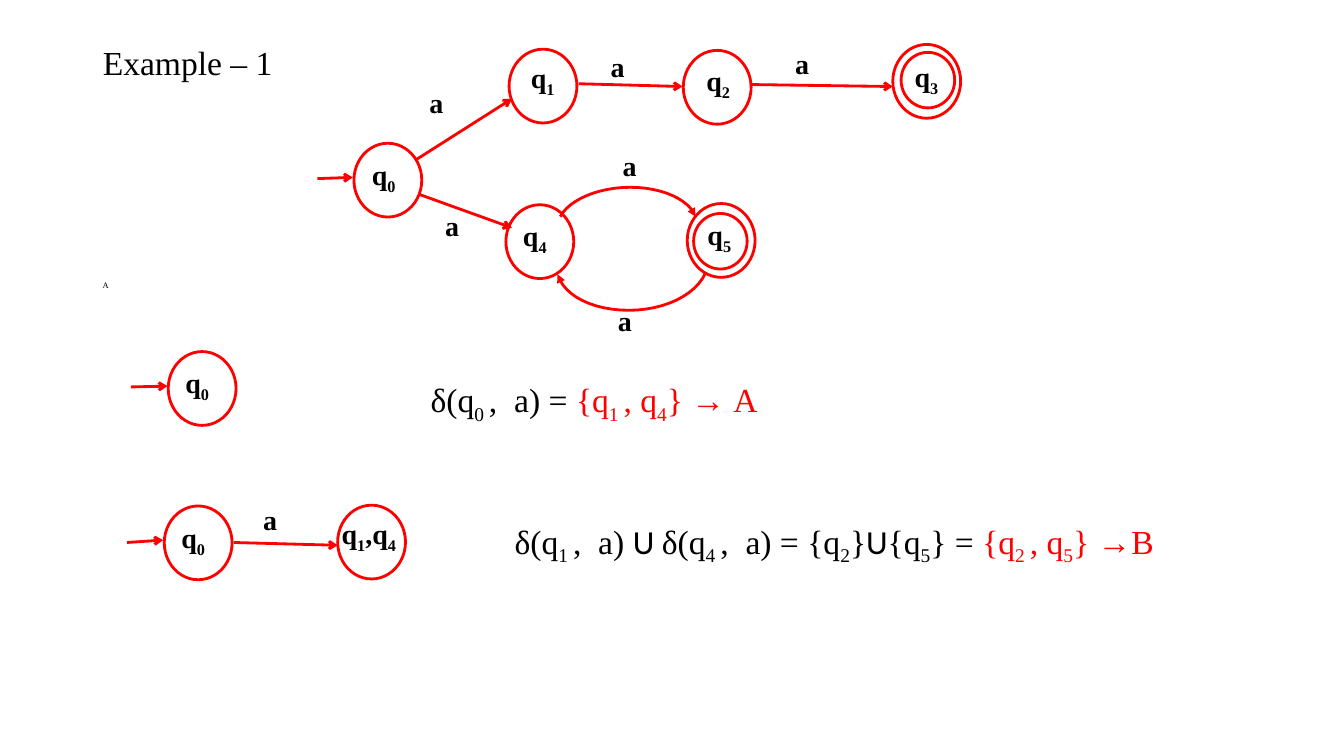
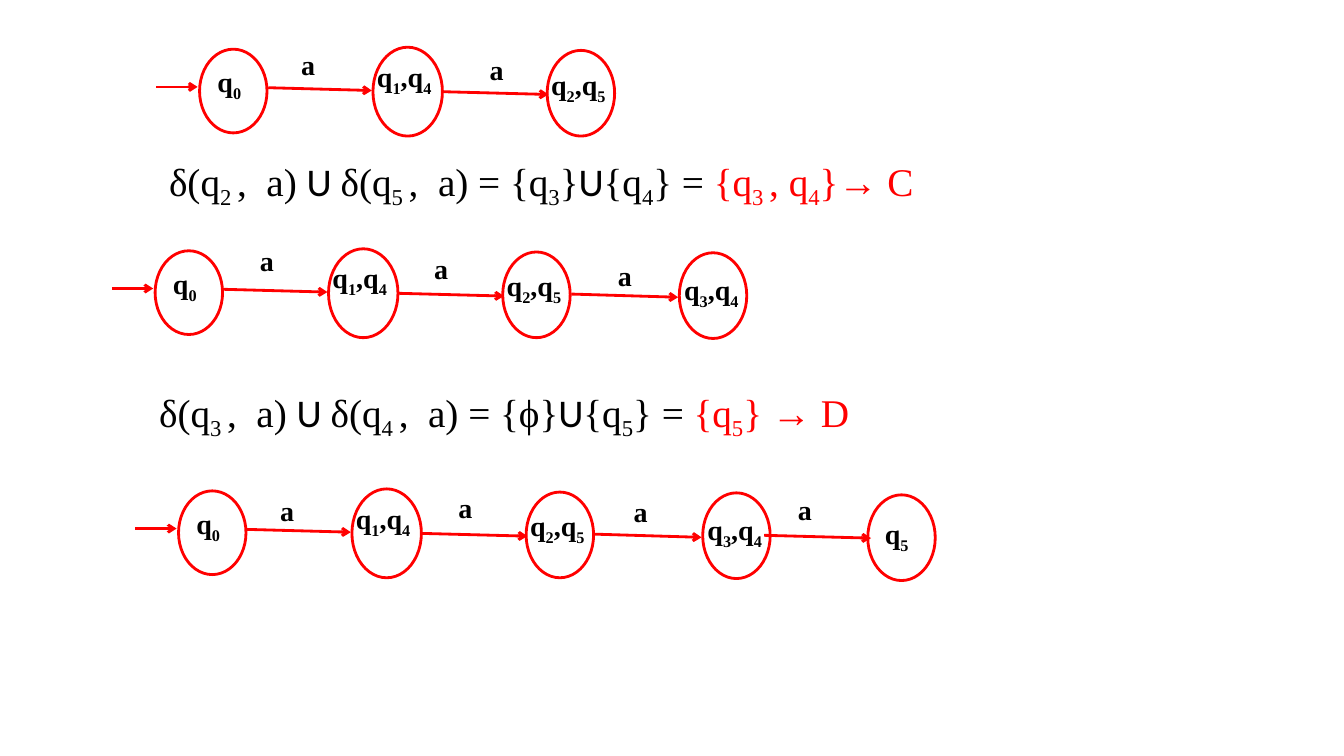
"""Build two slides that turn an NFA over {a} into a chain of subset states."""
from lxml import etree
from pptx import Presentation
from pptx import util as u
from pptx.dml.color import RGBColor
from pptx.enum import shapes, text
from pptx.oxml.ns import qn

RED = RGBColor(0xFF, 0x00, 0x00)
BLACK = RGBColor(0x00, 0x00, 0x00)
SERIF, SANS = "Times New Roman", "Calibri"
LINE_WIDTH = u.Pt(2)
RING_SIZE = (1.35, 1.4)

# Marked text: pieces are split at "|", and a piece starting with "_" is a subscript.
NFA = {
    "title": "Example – 1",
    "formulas": {
        "box": (10.85, 9.65, 19.5, 5), "size": 24, "line": 30, "gap": 71,
        "items": [
            (0, "δ(q|_0 |,  a) = ", "{q|_1 |, q|_4|} → A"),
            (2.12, "δ(q|_1 |,  a) |U |δ(q|_4 |,  a) = {q|_2|}|U|{q|_5|} = ",
             "{q|_2 |, q|_5|} →B"),
        ],
    },
    "states": [
        ("q|_0", (8.92, 3.61), (0.2, 0.23)),
        ("q|_1", (12.83, 1.24), (0.3, 0.16)),
        ("q|_2", (17.22, 1.27), (0.33, 0.2)),
        ("q|_3", (22.5, 1.12), (0.3, 0.25)),
        ("q|_4", (12.75, 5.16), (0.18, 0.22)),
        ("q|_5", (17.32, 5.13), (0.26, 0.23)),
        ("q|_0", (4.24, 8.86), (0.18, 0.23)),
        ("q|_0", (4.14, 12.75), (0.18, 0.23)),
        ("q|_1|,q|_4", (8.51, 12.73), (-0.15, 0.15)),
    ],
    "state_size": (1.71, 1.86),
    "final_rings": [(22.71, 1.32), (17.48, 5.38)],
    "arrows": [
        (8, 4.5, 8.89, 4.47), (10.46, 4.04, 12.9, 2.49),
        (10.57, 4.9, 12.9, 5.74), (14.58, 2.11, 17.2, 2.18),
        (18.9, 2.13, 22.5, 2.18), (3.3, 9.75, 4.22, 9.73),
        (3.2, 13.67, 4.11, 13.61), (5.89, 13.67, 8.51, 13.74),
    ],
    "loops": [
        [(14.12, 5.46), (14.35, 5.03), (15.09, 4.72), (15.88, 4.72),
         (16.69, 4.72), (17.37, 5.03), (17.53, 5.46)],
        [(17.78, 6.88), (17.53, 7.44), (16.74, 7.82), (15.85, 7.82),
         (14.96, 7.82), (14.22, 7.47), (14.05, 6.91)],
    ],
    "inputs": [(10.57, 2.03), (10.97, 5.13), (15.32, 7.52), (15.44, 3.63),
               (6.38, 12.55), (15.14, 1.12), (19.79, 1.04)],
    "small_mark": ("A", 2.34, 6.93),
}

SUBSETS = {
    "formulas": {
        "box": (4.26, 4.03, 26, 9), "size": 28, "line": 36, "gap": 129,
        "items": [
            (0, "δ(q|_2 |,  a) |U |δ(q|_5 |,  a) = {q|_3|}|U|{q|_4|} = ",
             "{q|_3 |, q|_4|}→ C"),
            (-0.25, "δ(q|_3 |,  a) |U |δ(q|_4 |,  a) = {ϕ}|U|{q|_5|} = ",
             "{q|_5|} → D"),
        ],
    },
    "inputs": [(7.34, 1.07), (12.09, 1.19),
               (6.3, 6.02), (10.69, 6.22), (15.32, 6.38),
               (6.81, 12.32), (11.3, 12.24), (15.72, 12.34), (19.86, 12.29)],
}

CHAIN_STAGES = [
    ("q|_0", (0, 0), (1.7, 2.11), (0.2, 0.26), (-1.09, 0.95, -0.05, 0.95)),
    ("q|_1|,q|_4", (4.37, -0.05), (1.75, 2.24), (-0.15, 0.18), (1.73, 0.97, 4.34, 1.04)),
    ("q|_2|,q|_5", (8.76, 0.03), (1.7, 2.16), (-0.15, 0.3), (6.1, 1.07, 8.79, 1.14)),
    ("q|_3|,q|_4", (13.21, 0.05), (1.7, 2.16), (-0.13, 0.38), (10.49, 1.09, 13.18, 1.17)),
    ("q|_5", (17.37, 0.1), (1.7, 2.16), (0.18, 0.41), (14.76, 1.12, 17.45, 1.19)),
]
CHAINS = [(3, 5.03, 1.24), (4, 3.91, 6.32), (5, 4.5, 12.37)]


def cm(values):
    return [u.Cm(value) for value in values]


def add_marked(paragraph, marked, color=None):
    for piece in marked.split("|"):
        run = paragraph.add_run()
        run.text = piece.removeprefix("_")
        if piece.startswith("_"):
            run._r.get_or_add_rPr().set("baseline", "-25000")
        if piece.strip() == "U":
            run.font.name = SANS
        if color is not None:
            run.font.color.rgb = color


def style(paragraph, size, bold=False):
    paragraph.alignment = text.PP_ALIGN.LEFT
    font = paragraph.font
    font.name, font.size, font.bold = SERIF, u.Pt(size), bold
    font.color.rgb = BLACK


def add_label(slide, left, top, marked, size=20, bold=True):
    width, height = (0.94, 0.86) if "|" not in marked else (2.2, 1.4)
    frame = slide.shapes.add_textbox(*cm((left, top, width, height))).text_frame
    frame.word_wrap = True
    add_marked(frame.paragraphs[0], marked)
    style(frame.paragraphs[0], size, bold)


def draw_red(line, head=None):
    line.color.rgb = RED
    line.width = LINE_WIDTH
    if head:
        etree.SubElement(line._get_or_add_ln(), qn("a:tailEnd"), type=head)


def add_circle(slide, place, size):
    circle = slide.shapes.add_shape(shapes.MSO_SHAPE.OVAL, *cm((*place, *size)))
    circle.shadow.inherit = False
    circle.fill.background()
    draw_red(circle.line)


def add_state(slide, marked, place, size, label_offset):
    add_circle(slide, place, size)
    add_label(slide, place[0] + label_offset[0], place[1] + label_offset[1], marked)


def add_arrow(slide, ends):
    arrow = slide.shapes.add_connector(shapes.MSO_CONNECTOR.STRAIGHT, *cm(ends))
    draw_red(arrow.line, "arrow")
    etree.SubElement(arrow._element.spPr, qn("a:effectLst"))


def bezier(controls, steps=12):
    for step in range(1, steps + 1):
        t = step / steps
        weights = ((1 - t) ** 3, 3 * t * (1 - t) ** 2, 3 * t ** 2 * (1 - t), t ** 3)
        yield tuple(u.Cm(sum(w * point[axis] for w, point in zip(weights, controls)))
                    for axis in (0, 1))


def add_loop(slide, controls):
    builder = slide.shapes.build_freeform(*cm(controls[0]))
    builder.add_line_segments([*bezier(controls[:4]), *bezier(controls[3:])], close=False)
    loop = builder.convert_to_shape()
    loop.shadow.inherit = False
    loop.fill.background()
    draw_red(loop.line, "triangle")


def place_frame(holder, box):
    holder.left, holder.top, holder.width, holder.height = cm(box)
    frame = holder.text_frame
    frame.margin_left = frame.margin_right = frame.margin_top = frame.margin_bottom = 0
    frame.vertical_anchor = text.MSO_ANCHOR.TOP
    frame.auto_size = text.MSO_AUTO_SIZE.NONE
    frame.word_wrap = True
    return frame


def fill_formulas(holder, formulas):
    left, top, width, height = formulas["box"]
    items = formulas["items"]
    edge = min(item[0] for item in items)
    frame = place_frame(holder, (left + edge, top, width, height))
    for index, (shift, working, result) in enumerate(items):
        paragraph = frame.add_paragraph() if index else frame.paragraphs[0]
        properties = paragraph._p.get_or_add_pPr()
        properties.set("marL", str(u.Cm(shift - edge)))
        properties.set("indent", "0")
        paragraph.line_spacing = u.Pt(formulas["line"])
        paragraph.space_before = u.Pt(formulas["gap"] if index else 0)
        etree.SubElement(properties, qn("a:buNone"))
        add_marked(paragraph, working)
        add_marked(paragraph, result, RED)
        style(paragraph, formulas["size"])


def add_base(deck, content):
    slide = deck.slides.add_slide(deck.slide_layouts[1])
    title, body = slide.placeholders
    if "title" in content:
        frame = place_frame(title, (2.59, 1.06, 8, 1.2))
        frame.text = content["title"]
        style(frame.paragraphs[0], 24)
    else:
        title._element.getparent().remove(title._element)
    fill_formulas(body, content["formulas"])
    for left, top in content["inputs"]:
        add_label(slide, left, top, "a")
    return slide


def build_nfa(deck):
    slide = add_base(deck, NFA)
    for marked, place, label_offset in NFA["states"]:
        add_state(slide, marked, place, NFA["state_size"], label_offset)
    for place in NFA["final_rings"]:
        add_circle(slide, place, RING_SIZE)
    for ends in NFA["arrows"]:
        add_arrow(slide, ends)
    for controls in NFA["loops"]:
        add_loop(slide, controls)
    mark, left, top = NFA["small_mark"]
    add_label(slide, left, top, mark, size=6, bold=False)


def build_subsets(deck):
    slide = add_base(deck, SUBSETS)
    for count, x, y in CHAINS:
        for marked, (dx, dy), size, label_offset, (x1, y1, x2, y2) in CHAIN_STAGES[:count]:
            add_state(slide, marked, (x + dx, y + dy), size, label_offset)
            add_arrow(slide, (x + x1, y + y1, x + x2, y + y2))


def main():
    deck = Presentation()
    deck.slide_width, deck.slide_height = cm((33.87, 19.05))
    build_nfa(deck)
    build_subsets(deck)
    deck.save("out.pptx")


if __name__ == "__main__":
    main()
